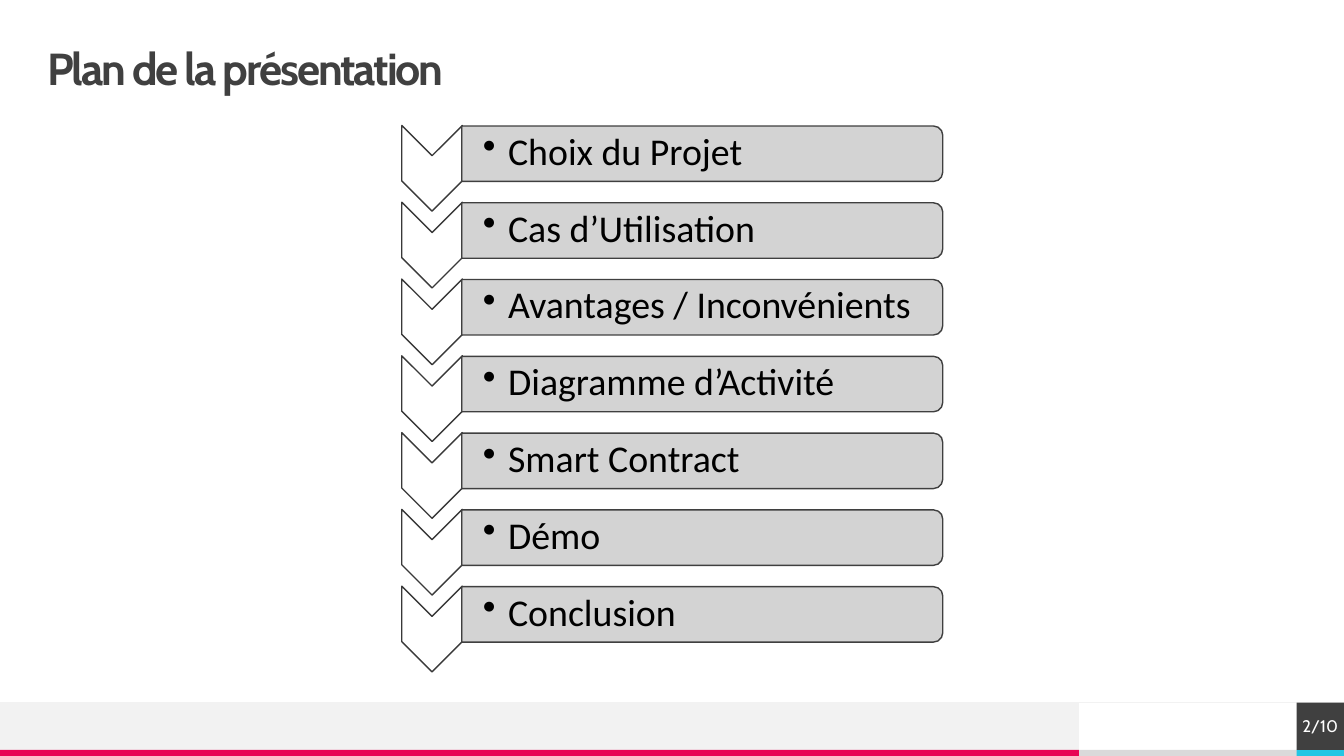
from lxml import etree
from pptx import Presentation
from pptx import util as u
from pptx.dml import color
from pptx.enum import shapes, text
from pptx.oxml import ns

TOPICS = [
    "Choix du Projet",
    "Cas d’Utilisation",
    "Avantages / Inconvénients",
    "Diagramme d’Activité",
    "Smart Contract",
    "Démo",
    "Conclusion",
]
ROW_PITCH = 4.57 / 6


def rgb(value):
    return color.RGBColor.from_string(value)


def add_xml(parent, tag, **attributes):
    return etree.SubElement(parent, ns.qn(tag), attributes)


class PlanSlide:
    title_font = "Cabin"
    body_font = "Calibri"
    dark = "404040"
    pale = "F2F2F2"

    def __init__(self, presentation):
        self.slide = presentation.slides.add_slide(presentation.slide_layouts[5])

    def format_text(self, shape, content, font, size, ink, align, insets=(0, 0, 0, 0), bold=False):
        frame = shape.text_frame
        frame.text = content
        frame.word_wrap = True
        frame.auto_size = text.MSO_AUTO_SIZE.NONE
        frame.vertical_anchor = text.MSO_ANCHOR.MIDDLE
        frame.margin_left, frame.margin_top, frame.margin_right, frame.margin_bottom = map(u.Inches, insets)
        paragraph = frame.paragraphs[0]
        paragraph.alignment = align
        run = paragraph.runs[0]
        run.font.name = font
        run.font.size = u.Pt(size)
        run.font.bold = bold
        run.font.color.rgb = rgb(ink)
        return paragraph

    def title(self, content, left, top, width, height):
        shape = self.slide.shapes.title
        shape.left, shape.top, shape.width, shape.height = map(u.Inches, (left, top, width, height))
        paragraph = self.format_text(
            shape, content, self.title_font, 32, self.dark, text.PP_ALIGN.LEFT, bold=True)
        paragraph.line_spacing = 0.9
        paragraph.runs[0].font._element.set("spc", "-150")

    def block(self, kind, left, top, width, height, fill, outline=None, rotation=0, opacity=100):
        shape = self.slide.shapes.add_shape(kind, *map(u.Inches, (left, top, width, height)))
        shape.shadow.inherit = False
        shape.rotation = rotation
        shape.fill.solid()
        shape.fill.fore_color.rgb = rgb(fill)
        if opacity < 100:
            fill_color = shape._element.spPr.find(".//" + ns.qn("a:srgbClr"))
            add_xml(fill_color, "a:alpha", val=str(opacity * 1000))
        if outline:
            shape.line.color.rgb = rgb(outline)
            shape.line.width = u.Pt(1)
        else:
            shape.line.fill.background()
        return shape

    def rule(self, left, right, y):
        connector = self.slide.shapes.add_connector(
            shapes.MSO_CONNECTOR.STRAIGHT, *map(u.Inches, (left, y, right, y)))
        connector.line.color.rgb = rgb(self.pale)
        connector.line.width = u.Pt(0.5)
        add_xml(connector._element.spPr, "a:effectLst")

    def bullet(self, content, left, top, width, height):
        box = self.slide.shapes.add_textbox(*map(u.Inches, (left, top, width, height)))
        paragraph = self.format_text(
            box, content, self.body_font, 27, "000000", text.PP_ALIGN.LEFT, (0.21, 0.02, 0.02, 0.02))
        paragraph.line_spacing = 0.9
        properties = paragraph._p.get_or_add_pPr()
        properties.set("marL", str(u.Inches(0.25)))
        properties.set("indent", str(u.Inches(-0.25)))
        add_xml(properties, "a:buChar", char="•")

    def footer(self, page):
        rectangle = shapes.MSO_SHAPE.RECTANGLE
        self.block(rectangle, 10.7, 7.44, 2.17, 0.06, "DADADA")
        self.block(rectangle, 0, 6.97, 10.7, 0.47, self.pale)
        self.block(rectangle, 0, 7.44, 10.7, 0.06, "E80554")
        self.block(rectangle, 12.86, 7.44, 0.47, 0.06, "25C6E3")
        self.rule(0, 13.33, 6.97)
        number = self.block(rectangle, 12.86, 6.97, 0.47, 0.47, self.dark)
        self.format_text(number, page, self.title_font, 12, "FFFFFF", text.PP_ALIGN.CENTER)

    def topic(self, content, offset):
        self.block(shapes.MSO_SHAPE.CHEVRON, 3.86, 1.37 + offset, 0.85, 0.6,
                   "FFFFFF", "393939", rotation=90)
        self.block(shapes.MSO_SHAPE.ROUND_2_SAME_RECTANGLE, 6.69, -0.86 + offset, 0.55, 4.77,
                   "CFCFCF", "3F3F3F", rotation=90, opacity=90)
        self.bullet(content, 4.58, 1.27 + offset, 4.74, 0.5)


def main():
    presentation = Presentation()
    presentation.slide_width = u.Inches(13.33)
    presentation.slide_height = u.Inches(7.5)
    plan = PlanSlide(presentation)
    plan.footer("2/10")
    plan.title("Plan de la présentation", 0.47, 0.47, 12.39, 0.47)
    for row, content in enumerate(TOPICS):
        plan.topic(content, row * ROW_PITCH)
    presentation.save("out.pptx")


if __name__ == "__main__":
    main()
